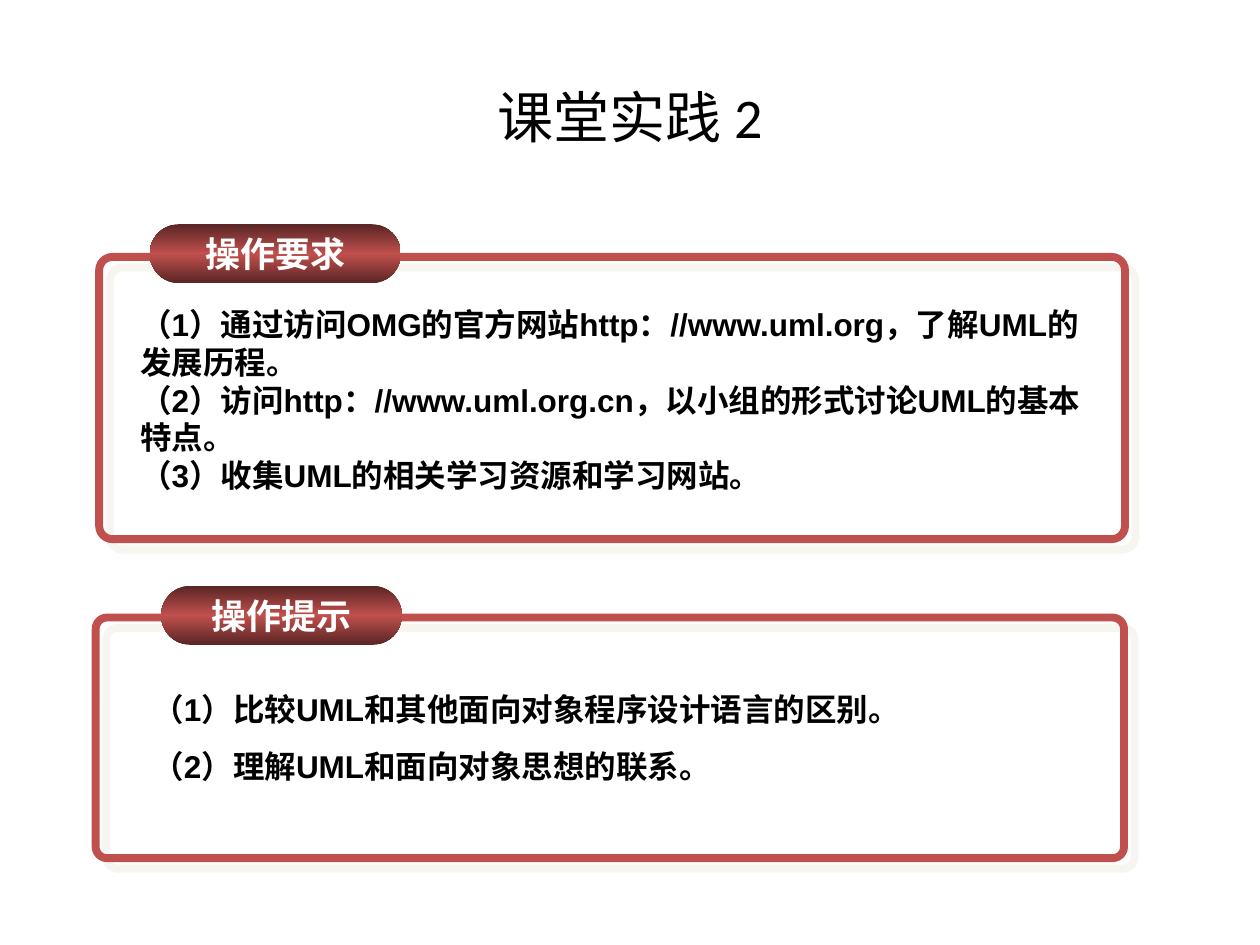
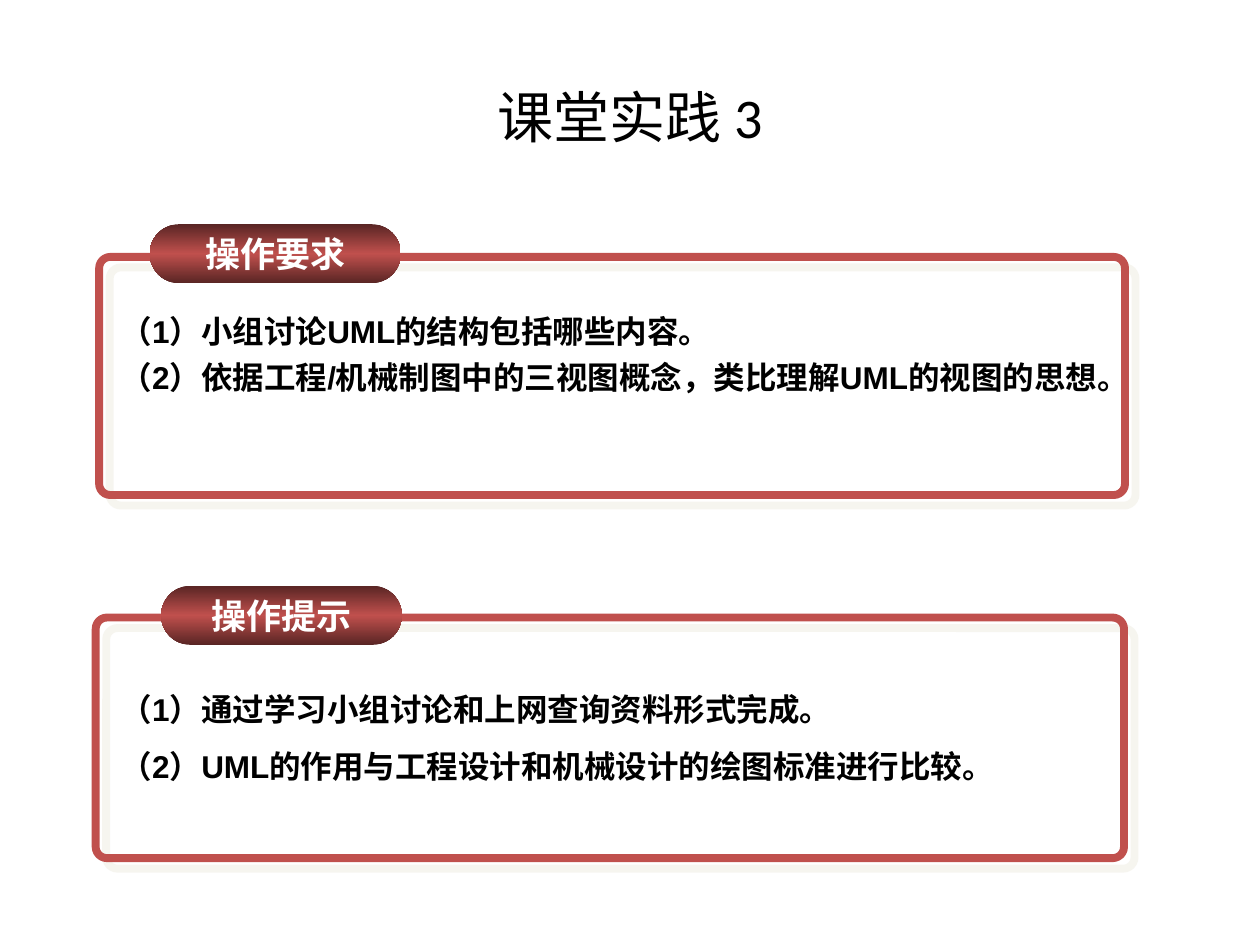
"""Build two classroom practice slides with labelled requirement and hint frames."""
from copy import deepcopy
from dataclasses import dataclass

from lxml import etree
from pptx import Presentation
from pptx.dml.color import RGBColor
from pptx.enum.shapes import MSO_SHAPE
from pptx.enum.text import MSO_ANCHOR, MSO_AUTO_SIZE, PP_ALIGN
from pptx.oxml.ns import qn
from pptx.util import Cm, Pt

ROUNDED = MSO_SHAPE.ROUNDED_RECTANGLE
TOP, MIDDLE = MSO_ANCHOR.TOP, MSO_ANCHOR.MIDDLE
CENTER = PP_ALIGN.CENTER
GROW = MSO_AUTO_SIZE.SHAPE_TO_FIT_TEXT
TWO_CONTENT = 3

BLACK = RGBColor(0x00, 0x00, 0x00)
WHITE = RGBColor(0xFF, 0xFF, 0xFF)
RED = RGBColor(0xC0, 0x50, 0x4D)
DARK_RED = RGBColor(0x59, 0x25, 0x24)
SHADOW = RGBColor(0xEE, 0xEC, 0xE1)

TITLE_FONT = "Calibri"
BODY_FONT = "Arial"
CJK_FONT = "Noto Sans CJK SC"


@dataclass(frozen=True)
class Box:
    """Position and size in centimetres."""
    left: float
    top: float
    width: float
    height: float

    def lengths(self):
        """Return the four values as slide lengths."""
        return Cm(self.left), Cm(self.top), Cm(self.width), Cm(self.height)


@dataclass(frozen=True)
class Section:
    """A framed list with a pill label."""
    label: str
    pill: Box
    frame: Box
    body: Box
    line_spacing: float
    items: tuple[str, ...]


@dataclass(frozen=True)
class Practice:
    """One practice slide."""
    title: str
    sections: tuple[Section, ...]


TITLE_BOX = Box(1.27, 0.76, 22.86, 3.18)


def requirements(frame_height: float, body: Box, spacing: float, *items: str) -> Section:
    """Describe the upper section."""
    return Section("操作要求", Box(3.02, 4.52, 5.06, 1.19),
                   Box(2, 5.18, 20.68, frame_height), body, spacing, items)


def hints(body_left: float, *items: str) -> Section:
    """Describe the lower section."""
    return Section("操作提示", Box(3.25, 11.81, 4.85, 1.19),
                   Box(1.93, 12.45, 20.73, 4.85),
                   Box(body_left, 13.41, 19.28, 2.54), 1.5, items)


PRACTICES = (
    Practice("课堂实践 2", (
        hints(2.82,
              "（1）比较UML和其他面向对象程序设计语言的区别。",
              "（2）理解UML和面向对象思想的联系。"),
        requirements(5.69, Box(2.57, 6.02, 19.99, 4.06), 1.0,
                     "（1）通过访问OMG的官方网站http：//www.uml.org，了解UML的发展历程。",
                     "（2）访问http：//www.uml.org.cn，以小组的形式讨论UML的基本特点。",
                     "（3）收集UML的相关学习资源和学习网站。"),
    )),
    Practice("课堂实践 3", (
        hints(2.18,
              "（1）通过学习小组讨论和上网查询资料形式完成。",
              "（2）UML的作用与工程设计和机械设计的绘图标准进行比较。"),
        requirements(4.8, Box(2.18, 6.02, 20.32, 3), 1.2,
                     "（1）小组讨论UML的结构包括哪些内容。",
                     "（2）依据工程/机械制图中的三视图概念，类比理解UML的视图的思想。"),
    )),
)


def place(shape, box: Box) -> None:
    """Move and size a placeholder."""
    shape.left, shape.top, shape.width, shape.height = box.lengths()


def add_run(paragraph, text: str, font: str, size: int, color: RGBColor, bold: bool) -> None:
    """Add a formatted run with matching Chinese glyphs."""
    run = paragraph.add_run()
    run.text = text
    run.font.name = font
    run.font.size = Pt(size)
    run.font.bold = bold
    run.font.color.rgb = color
    etree.SubElement(run.font._element, qn("a:ea"), typeface=CJK_FONT)


def fill_list(body, section: Section) -> None:
    """Write the numbered items into a body placeholder."""
    place(body, section.body)
    frame = body.text_frame
    frame.word_wrap = True
    frame.auto_size = GROW
    frame.vertical_anchor = TOP
    for index, item in enumerate(section.items):
        paragraph = frame.add_paragraph() if index else frame.paragraphs[0]
        properties = paragraph._p.get_or_add_pPr()
        properties.set("marL", "0")
        properties.set("indent", "0")
        etree.SubElement(properties, qn("a:buNone"))
        paragraph.line_spacing = section.line_spacing
        paragraph.space_before = Pt(0)
        add_run(paragraph, item, BODY_FONT, 18, BLACK, True)


def add_frame(slide, box: Box) -> None:
    """Draw the rounded outline with its offset shadow."""
    outline = slide.shapes.add_shape(ROUNDED, *box.lengths())
    outline.adjustments[0] = 0.047
    outline.fill.background()
    outline.line.color.rgb = RED
    outline.line.width = Pt(4.5)
    outline.shadow.inherit = False
    effects = outline._element.spPr.find(qn("a:effectLst"))
    shadow = etree.SubElement(effects, qn("a:outerShdw"), blurRad="0", dist=str(Pt(8.5)),
                              dir=str(45 * 60000), algn="ctr", rotWithShape="0")
    color = etree.SubElement(shadow, qn("a:srgbClr"), val=str(SHADOW))
    etree.SubElement(color, qn("a:alpha"), val="50000")


def add_pill(slide, box: Box, label: str) -> None:
    """Draw the gradient label that sits on a frame."""
    pill = slide.shapes.add_shape(ROUNDED, *box.lengths())
    pill.adjustments[0] = 0.5
    pill.shadow.inherit = False
    pill.line.fill.background()
    pill.fill.gradient()
    pill.fill.gradient_angle = 270
    stop_list = pill._element.spPr.find(qn("a:gradFill")).find(qn("a:gsLst"))
    stop_list.insert(1, deepcopy(stop_list[0]))
    for index, (stop, color) in enumerate(zip(pill.fill.gradient_stops, (DARK_RED, RED, DARK_RED))):
        stop.position = index / 2
        stop.color.rgb = color
    frame = pill.text_frame
    frame.word_wrap = False
    frame.vertical_anchor = MIDDLE
    frame.paragraphs[0].alignment = CENTER
    add_run(frame.paragraphs[0], label, CJK_FONT, 20, WHITE, True)


def add_practice(deck, practice: Practice) -> None:
    """Add one slide with its title and framed sections."""
    slide = deck.slides.add_slide(deck.slide_layouts[TWO_CONTENT])
    title, *bodies = slide.placeholders
    place(title, TITLE_BOX)
    title.text_frame.vertical_anchor = MIDDLE
    heading = title.text_frame.paragraphs[0]
    heading.alignment = CENTER
    add_run(heading, practice.title, TITLE_FONT, 32, BLACK, False)
    for body, section in zip(bodies, practice.sections):
        fill_list(body, section)
        add_frame(slide, section.frame)
        add_pill(slide, section.pill, section.label)


def main() -> None:
    """Build and save the deck."""
    deck = Presentation()
    deck.slide_width, deck.slide_height = Cm(25.4), Cm(19.05)
    for practice in PRACTICES:
        add_practice(deck, practice)
    deck.save("out.pptx")


if __name__ == "__main__":
    main()
